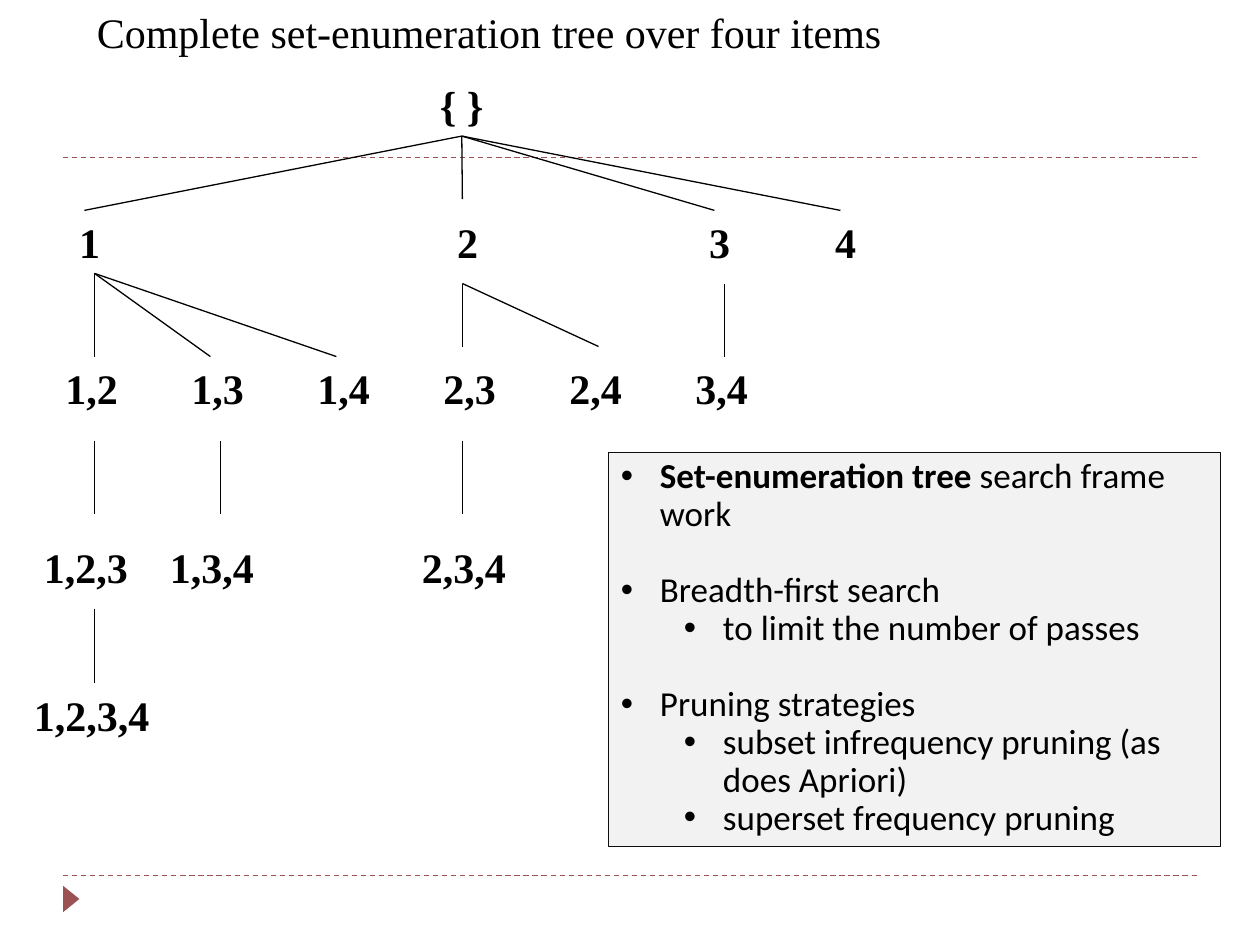
from dataclasses import dataclass

from lxml.etree import SubElement
from pptx import Presentation
from pptx.dml.color import RGBColor
from pptx.enum.dml import MSO_LINE
from pptx.enum.shapes import MSO_CONNECTOR as Connector, MSO_SHAPE as Shape
from pptx.enum.text import MSO_ANCHOR as Anchor, PP_ALIGN as Align
from pptx.oxml.ns import qn
from pptx.util import Inches, Pt

ACCENT, BLACK = "9C5252", "000000"
SERIF, SANS = "Times New Roman", "Calibri"


@dataclass
class Level:
    left: float
    top: float
    width: float
    itemsets: list[str]
    stops: tuple[int, ...] = ()


@dataclass
class Fan:
    x: float
    top: float
    bottom: float
    ends: tuple[float, ...]


@dataclass
class Point:
    runs: list[tuple[str, bool]]
    indent: float = 0.31
    before: float = 0


LEVELS = [
    Level(0.53, 1.67, 7.22, ["1", "2", "3", "4"], (3, 5, 6)),
    Level(0.42, 2.83, 7.25, ["1,2", "1,3", "1,4", "2,3", "2,4", "3,4"], (1, 2, 3, 4, 5)),
    Level(0.25, 4.25, 4.17, ["1,2,3", "1,3,4", "2,3,4"], (1, 3)),
    Level(0.17, 5.42, 1.25, ["1,2,3,4"]),
]

FANS = [
    Fan(0.75, 2.17, 2.83, (0.75, 1.67, 2.67)),
    Fan(3.67, 2.25, 2.75, (3.67, 4.75)),
    Fan(5.75, 2.25, 2.83, (5.75,)),
    *[Fan(x, 3.5, 4.08, (x,)) for x in (0.75, 1.75, 3.67)],
    Fan(0.75, 4.83, 5.42, (0.75,)),
]

POINTS = [
    Point([("Set-enumeration tree", True), (" search frame work", False)]),
    Point([("Breadth-first search", False)], before=22),
    Point([("to limit the number of passes", False)], indent=0.81),
    Point([("Pruning strategies", False)], before=22),
    Point([("subset infrequency pruning (as does Apriori)", False)], indent=0.81),
    Point([("superset frequency pruning", False)], indent=0.81),
]


def color(value: str) -> RGBColor:
    return RGBColor.from_string(value)


def add_run(paragraph, text: str, *, size=24, font=SERIF, bold=False) -> None:
    run = paragraph.add_run()
    run.text = text
    run.font.size = Pt(size)
    run.font.name = font
    run.font.bold = bold
    run.font.color.rgb = color(BLACK)


def add_text(slide, text: str, left, top, width, *, bold=True, align=Align.LEFT, stops=()):
    box = slide.shapes.add_textbox(Inches(left), Inches(top), Inches(width), Inches(0.5))
    box.text_frame.word_wrap = True
    paragraph = box.text_frame.paragraphs[0]
    paragraph.alignment = align
    if stops:
        tabs = SubElement(paragraph._p.get_or_add_pPr(), qn("a:tabLst"))
        for stop in stops:
            SubElement(tabs, qn("a:tab"), pos=str(Inches(stop)), algn="l")
    add_run(paragraph, text, bold=bold)
    return box


def add_line(slide, x1, y1, x2, y2, *, line=BLACK, dash=None):
    connector = slide.shapes.add_connector(
        Connector.STRAIGHT, Inches(x1), Inches(y1), Inches(x2), Inches(y2)
    )
    connector.line.color.rgb = color(line)
    connector.line.width = Pt(0.75)
    if dash:
        connector.line.dash_style = dash
    SubElement(connector._element.spPr, qn("a:effectLst"))
    return connector


def add_fan(slide, fan: Fan, parent=None) -> None:
    for end in fan.ends:
        branch = add_line(slide, fan.x, fan.top, end, fan.bottom)
        if parent is not None:
            branch.begin_connect(parent, 2)


def add_shape(slide, preset, left, top, width, height, fill: str):
    shape = slide.shapes.add_shape(
        preset, Inches(left), Inches(top), Inches(width), Inches(height)
    )
    shape.shadow.inherit = False
    shape.fill.solid()
    shape.fill.fore_color.rgb = color(fill)
    shape.line.fill.background()
    return shape


def add_point(paragraph, point: Point) -> None:
    paragraph.alignment = Align.LEFT
    paragraph.line_spacing = 0.9
    paragraph.space_before = Pt(point.before)
    paragraph.level = int(point.indent > 0.5)
    properties = paragraph._p.get_or_add_pPr()
    properties.set("marL", str(Inches(point.indent)))
    properties.set("indent", str(Inches(-0.31)))
    SubElement(properties, qn("a:buFont"), typeface="Arial")
    SubElement(properties, qn("a:buChar"), char="•")
    for text, bold in point.runs:
        add_run(paragraph, text, size=20, font=SANS, bold=bold)


def add_strategy(slide) -> None:
    strategy = add_shape(slide, Shape.RECTANGLE, 4.83, 3.59, 4.86, 3.13, "F2F2F2")
    strategy.line.color.rgb = color("0D0D0D")
    strategy.line.width = Pt(0.75)
    frame = strategy.text_frame
    frame.word_wrap = True
    frame.vertical_anchor = Anchor.TOP
    for index, point in enumerate(POINTS):
        add_point(frame.add_paragraph() if index else frame.paragraphs[0], point)


def main() -> None:
    deck = Presentation()
    deck.slide_width, deck.slide_height = Inches(10), Inches(7.5)
    slide = deck.slides.add_slide(deck.slide_layouts[6])

    for y in (6.95, 1.25):
        add_line(slide, 0.5, y, 9.5, y, line=ACCENT, dash=MSO_LINE.DASH)
    marker = add_shape(slide, Shape.ISOSCELES_TRIANGLE, 0.46, 7.07, 0.21, 0.13, ACCENT)
    marker.rotation = 90

    add_text(slide, "Complete set-enumeration tree over four items", 0.67, 0, 7.92, bold=False)
    root = add_text(slide, "{ }", 3.33, 0.58, 0.67, align=Align.CENTER)
    for level in LEVELS:
        itemsets = "\t".join(level.itemsets)
        add_text(slide, itemsets, level.left, level.top, level.width, stops=level.stops)

    add_fan(slide, Fan(3.67, 1.08, 1.67, (0.67, 5.67, 6.67)), root)
    add_fan(slide, Fan(3.67, 1.08, 1.58, (3.67,)), root)
    for fan in FANS:
        add_fan(slide, fan)
    add_strategy(slide)
    deck.save("out.pptx")


if __name__ == "__main__":
    main()
